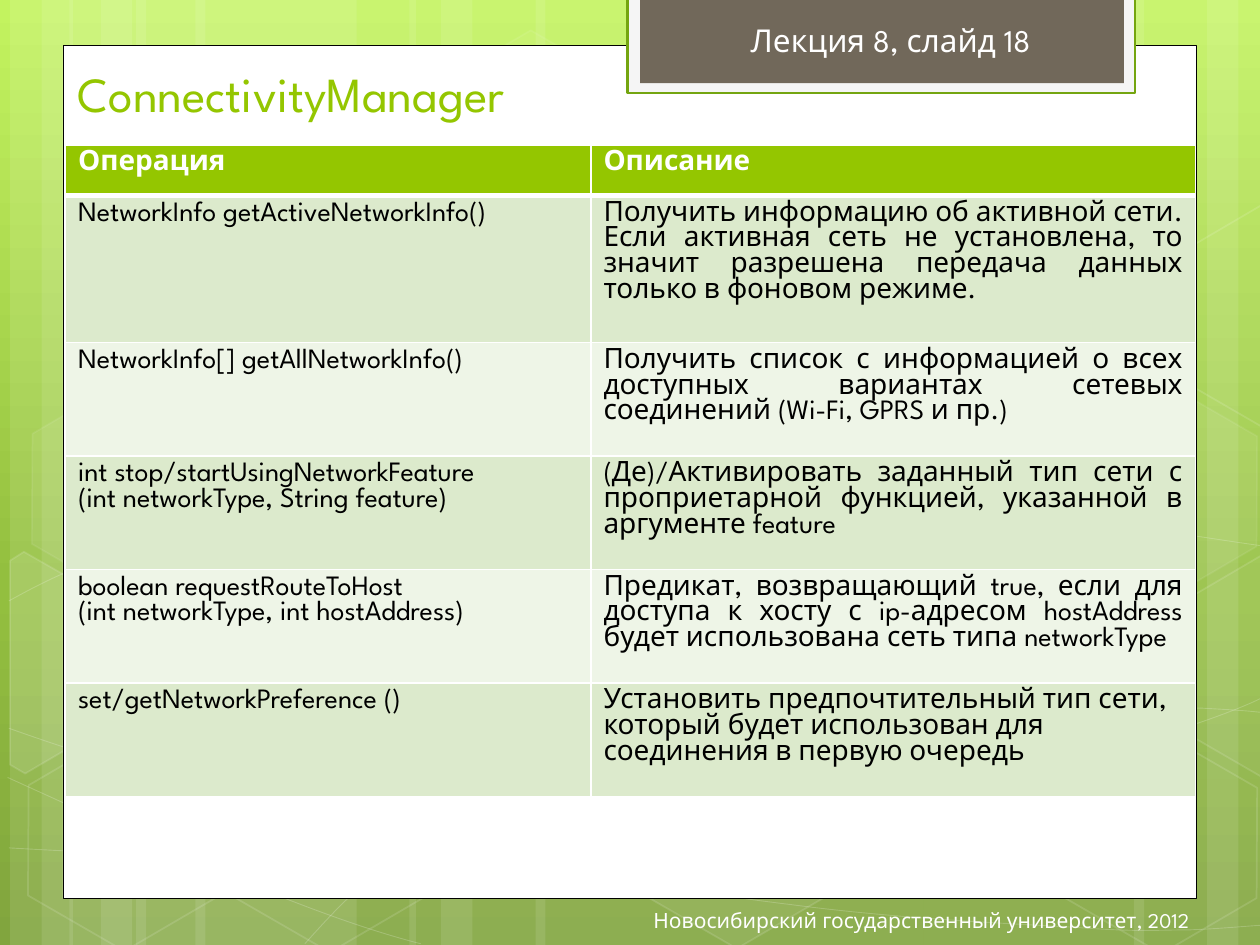
"""Build the ConnectivityManager lecture slide with its green patterned backdrop."""
from lxml.etree import SubElement
from pptx import Presentation
from pptx.dml.color import RGBColor
from pptx.enum.shapes import MSO_SHAPE
from pptx.enum.text import MSO_ANCHOR, MSO_AUTO_SIZE, PP_ALIGN
from pptx.oxml.ns import qn
from pptx.util import Inches, Pt

WIDTH, HEIGHT = 10, 7.5
THEME = {
    "font": "League Spartan",
    "white": "FFFFFF", "black": "000000", "green": "94C600", "frame": "74A510",
    "pale": "F5F5F5", "brown": "71685A", "bands": ("DCEACC", "EEF5E7"),
    "backdrop": ((0, "C3F35F"), (62, "93BF3F"), (100, "81A53E")),
    "title": 28, "badge": 18, "table": 16, "footer": 12,
}

STRIPES = [(1.08, 1.75), (0.08, 0.5), (0.33, 0.83), (1.55, 1.75), (0.55, 0.5), (0.8, 0.83),
           (7.33, 1.75), (9.58, 0.5), (9, 0.83), (4.25, 3.08), (3.25, 0.5), (3.5, 0.83)]
CURVES = [
    [(0.07, 6.73), (0.61, 6.76), (1.15, 6.79), (1.9, 6.78), (2.65, 6.77), (3.58, 6.75),
     (4.58, 6.65), (5.58, 6.55), (7, 6.36), (7.92, 6.17), (8.83, 5.98), (9.77, 5.68),
     (10.07, 5.51)],
    [(0.07, 4.77), (0.36, 4.61), (0.65, 4.46), (1.21, 4.31), (1.78, 4.16), (2.59, 3.94),
     (3.47, 3.87), (4.36, 3.8), (5.44, 3.79), (6.54, 3.87), (7.64, 3.95), (9.47, 4.26),
     (10.07, 4.34)],
    [(0.06, 6.17), (1.27, 6.72), (2.47, 7.27), (3.34, 7.49)],
    [(0.07, 5.78), (0.38, 5.89), (0.7, 6), (1.28, 6.16), (1.86, 6.31), (2.73, 6.56),
     (3.57, 6.73), (4.4, 6.9), (5.45, 7.08), (6.28, 7.18), (7.11, 7.29), (8, 7.33),
     (8.53, 7.36), (9.05, 7.4), (9.19, 7.38), (9.45, 7.38), (9.71, 7.37), (9.89, 7.35),
     (10.07, 7.34)],
    [(2.42, 7.49), (2.6, 7.29), (2.78, 7.09), (3.02, 6.91), (3.26, 6.73), (3.6, 6.53),
     (3.88, 6.39), (4.16, 6.25), (4.33, 6.19), (4.7, 6.09), (5.06, 5.99), (5.73, 5.85),
     (6.08, 5.78), (6.44, 5.71), (6.49, 5.71), (6.8, 5.69), (7.11, 5.66), (7.6, 5.63),
     (7.94, 5.62), (8.29, 5.61), (8.86, 5.62), (8.86, 5.62), (9.08, 5.62), (9.31, 5.62),
     (9.53, 5.62), (9.71, 5.63), (9.88, 5.64), (9.97, 5.65), (10.06, 5.66), (10.03, 5.65),
     (10.06, 5.66)],
]
HEXAGONS = [(3.34, 0.36, 4, 8), (4.97, 5.89, 6, 12), (0.11, 5.91, 0, 12),
            (0.14, 3.12, 7, 8), (1.74, 5.92, 0, 12), (7.53, 4.53, 10, 12),
            (8.34, 5.93, 0, 12), (8.34, 3.14, 7, 8)]
CUT_HEXAGONS = [
    ([(0.08, 4.45), (0.19, 4.38), (0.96, 4.82), (0.95, 5.7), (0.2, 6.14), (0.08, 6.07)], 10),
    ([(9.26, 4.85), (10.01, 4.41), (10.09, 4.46), (10.09, 6.13), (10.02, 6.17),
      (9.26, 5.73)], 4),
    ([(9.26, 2.07), (10.01, 1.63), (10.1, 1.68), (10.09, 3.35), (10.02, 3.39),
      (9.26, 2.95)], 0),
]
PANELS = [((0.5, 0.36, 9, 6.77), "white", ("black", 0.5)),
          ((4.98, -0.02, 4.03, 0.76), "pale", ("frame", 1.25)),
          ((5.08, -0.02, 3.84, 0.68), "brown", None)]
TEXTS = [
    ("ConnectivityManager", (0.52, 0.36, 8.42, 0.66), "title", "green",
     MSO_ANCHOR.BOTTOM, PP_ALIGN.LEFT, True),
    ("Лекция 8, слайд 18", (5.86, 0.12, 2.59, 0.4), "badge", "white",
     MSO_ANCHOR.TOP, PP_ALIGN.LEFT, False),
    ("Новосибирский государственный университет, 2012", (3.11, 7.1, 6.43, 0.4),
     "footer", "white", MSO_ANCHOR.MIDDLE, PP_ALIGN.RIGHT, True),
]
TABLE_LEFT, TABLE_TOP, COLUMNS = 0.52, 1.15, (4.17, 4.8)
HEADER_HEIGHT, LINE_HEIGHT, ROW_PADDING = 0.4, 0.27, 0.09
HEADER = ("Операция", "Описание")
ROWS = [
    (4, "NetworkInfo getActiveNetworkInfo()",
     "Получить информацию об активной сети. Если активная сеть не установлена, то значит "
     "разрешена передача данных только в фоновом режиме."),
    (3, "NetworkInfo[] getAllNetworkInfo()",
     "Получить список с информацией о всех доступных вариантах сетевых соединений "
     "(Wi-Fi, GPRS и пр.)"),
    (3, "int stop/startUsingNetworkFeature\n(int networkType, String feature)",
     "(Де)/Активировать заданный тип сети с проприетарной функцией, указанной в "
     "аргументе feature"),
    (3, "boolean requestRouteToHost\n(int networkType, int hostAddress)",
     "Предикат, возвращающий true, если для доступа к хосту с ip-адресом hostAddress "
     "будет использована сеть типа networkType"),
    (3, "set/getNetworkPreference ()",
     "Установить предпочтительный тип сети, который будет использован для соединения "
     "в первую очередь"),
]


def color(name):
    return RGBColor.from_string(THEME.get(name, name))


def paint(fill, name, opacity=100):
    if not opacity:
        fill.background()
        return
    fill.solid()
    fill.fore_color.rgb = color(name)


def style(shape, fill, fill_opacity=100, line=None, line_opacity=100):
    shape.shadow.inherit = False
    paint(shape.fill, fill, fill_opacity)
    if line:
        paint(shape.line.fill, line[0])
        shape.line.width = Pt(line[1])
    else:
        shape.line.fill.background()
    srgb = f"{qn('a:solidFill')}/{qn('a:srgbClr')}"
    for opacity, query in ((fill_opacity, srgb), (line_opacity, f"{qn('a:ln')}/{srgb}")):
        if opacity < 100:
            for element in shape._element.spPr.findall(query):
                SubElement(element, qn("a:alpha"), val=str(opacity * 1000))


def add_preset(page, kind, box):
    return page.shapes.add_shape(kind, *map(Inches, box))


def add_outline(page, points, close):
    start, *rest = [tuple(map(Inches, point)) for point in points]
    builder = page.shapes.build_freeform(*start, scale=1.0)
    builder.add_line_segments(rest, close=close)
    return builder.convert_to_shape()


def add_curve(page, knots):
    curve = add_outline(page, knots[::3], False)
    segments = list(curve._element.iter(qn("a:lnTo")))
    for index, segment in enumerate(segments):
        segment_path = segment.getparent()
        bend = segment_path.makeelement(qn("a:cubicBezTo"))
        for x, y in knots[3 * index + 1:3 * index + 4]:
            SubElement(bend, qn("a:pt"), x=str(Inches(x) - curve.left),
                       y=str(Inches(y) - curve.top))
        segment_path.replace(segment, bend)
    return curve


def write(frame, text, align, **formats):
    frame.text = text
    for para in frame.paragraphs:
        para.alignment = align
        for span in para.runs:
            span.font.color.rgb = color(formats["color"])
            for name, value in {"name": THEME["font"], "size": Pt(THEME[formats["size"]]),
                                "bold": formats.get("bold", False)}.items():
                setattr(span.font, name, value)


def add_backdrop(page):
    page.background.fill.gradient()
    stops = page._element.find(f".//{qn('a:gsLst')}")
    for stop in list(stops):
        stops.remove(stop)
    for position, value in THEME["backdrop"]:
        stop = SubElement(stops, qn("a:gs"), pos=str(position * 1000))
        SubElement(stop, qn("a:srgbClr"), val=value)
    page._element.find(f".//{qn('a:lin')}").set("ang", "5400000")
    for left, width in STRIPES:
        style(add_preset(page, MSO_SHAPE.RECTANGLE, (left, 0, width, HEIGHT)), "white", 10)
    for knots in CURVES:
        style(add_curve(page, knots), "white", 0, ("white", 0.5), 20)
    for left, top, fill_opacity, line_opacity in HEXAGONS:
        hexagon = add_preset(page, MSO_SHAPE.HEXAGON, (left, top, 1.75, 1.52))
        hexagon.adjustments[0] = 0.285
        hexagon.rotation = 30
        style(hexagon, "white", fill_opacity, ("white", 1), line_opacity)
    for points, opacity in CUT_HEXAGONS:
        style(add_outline(page, points, True), "white", opacity, ("white", 1), 12)


def fill_cell(cell, text, fill, align, bottom=1, **formats):
    write(cell.text_frame, text, align, size="table", **formats)
    properties = cell._tc.get_or_add_tcPr()
    for side, width in {"L": 1, "R": 1, "T": 1, "B": bottom}.items():
        line = SubElement(properties, qn(f"a:ln{side}"), w=str(Pt(width)))
        SubElement(SubElement(line, qn("a:solidFill")), qn("a:srgbClr"), val=THEME["white"])
    paint(cell.fill, fill)


def add_operations(page):
    heights = [HEADER_HEIGHT] + [lines * LINE_HEIGHT + ROW_PADDING for lines, *_ in ROWS]
    box = map(Inches, (TABLE_LEFT, TABLE_TOP, sum(COLUMNS), sum(heights)))
    table = page.shapes.add_table(len(heights), len(COLUMNS), *box).table
    table.first_row = table.horz_banding = False
    for column, width in zip(table.columns, COLUMNS):
        column.width = Inches(width)
    for row, height in zip(table.rows, heights):
        row.height = Inches(height)
    for index, text in enumerate(HEADER):
        fill_cell(table.cell(0, index), text, "green", PP_ALIGN.LEFT, 3,
                  color="white", bold=True)
    for number, (_, *texts) in enumerate(ROWS, 1):
        align = PP_ALIGN.LEFT if number == len(ROWS) else PP_ALIGN.JUSTIFY
        for index, text in enumerate(texts):
            fill_cell(table.cell(number, index), text, THEME["bands"][(number - 1) % 2],
                      align, color="black")


def main():
    deck = Presentation()
    deck.slide_width, deck.slide_height = Inches(WIDTH), Inches(HEIGHT)
    page = deck.slides.add_slide(deck.slide_layouts[6])
    add_backdrop(page)
    for box, fill, line in PANELS:
        style(add_preset(page, MSO_SHAPE.RECTANGLE, box), fill, line=line)
    for text, box, size, tint, anchor, align, wrap in TEXTS:
        frame = page.shapes.add_textbox(*map(Inches, box)).text_frame
        frame.word_wrap, frame.vertical_anchor = wrap, anchor
        frame.auto_size = MSO_AUTO_SIZE.NONE if wrap else MSO_AUTO_SIZE.SHAPE_TO_FIT_TEXT
        write(frame, text, align, size=size, color=tint)
    add_operations(page)
    deck.save("out.pptx")


if __name__ == "__main__":
    main()
